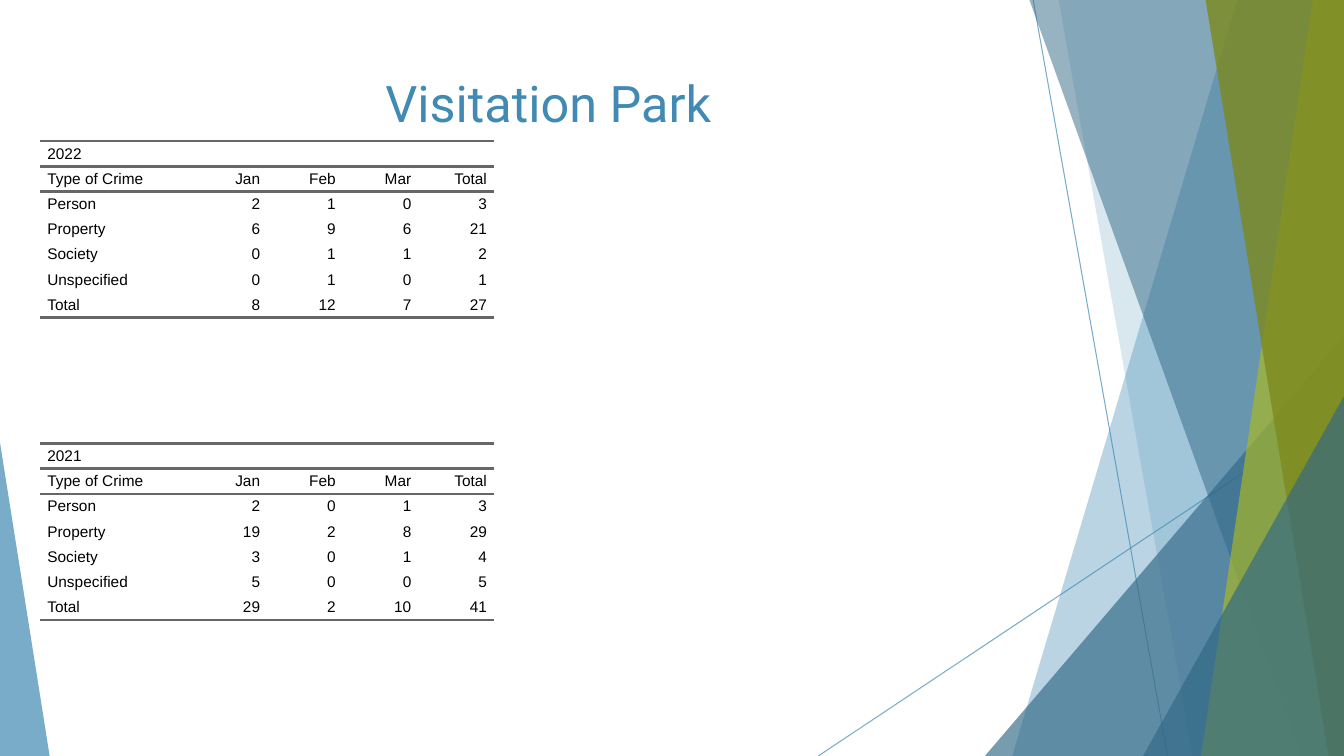
import pptx
import pptx.util
import pptx.dml.color
import pptx.enum.shapes
import pptx.enum.text
import pptx.oxml
import pptx.oxml.ns
from lxml import etree

Pt = pptx.util.Pt
ALIGN = pptx.enum.text.PP_ALIGN
ANCHOR = pptx.enum.text.MSO_ANCHOR
BLUE, NAVY, LIME, OLIVE = "418AB3", "316886", "A6B727", "7D891D"
WIDTH, HEIGHT = 960, 540
MONTHS = ["Type of Crime", "Jan", "Feb", "Mar", "Total"]
CRIMES_2022 = [
    ["Person", 2, 1, 0, 3],
    ["Property", 6, 9, 6, 21],
    ["Society", 0, 1, 1, 2],
    ["Unspecified", 0, 1, 0, 1],
    ["Total", 8, 12, 7, 27],
]
CRIMES_2021 = [
    ["Person", 2, 0, 1, 3],
    ["Property", 19, 2, 8, 29],
    ["Society", 3, 0, 1, 4],
    ["Unspecified", 5, 0, 0, 5],
    ["Total", 29, 2, 10, 41],
]
BACKDROP = [
    ("band", (884, 960, 960, 723), BLUE, 36),
    ("band", (756, 960, 960, 852), BLUE, 20),
    ("triangle", (703.5, 240, 256.5, 300, 1), NAVY, 66),
    ("band", (735, 960, 960, 929.5), NAVY, 50),
    ("band", (938, 960, 960, 858), LIME, 70),
    ("band", (861, 960, 960, 949), OLIVE, 80),
    ("triangle", (816.5, 283, 143.5, 257, 1), NAVY, 66),
    ("triangle", (0, 316, 35.5, 224, 0), BLUE, 70),
]


def colour(text):
    return pptx.dml.color.RGBColor.from_string(text)


def apply_format(target, values):
    for name, value in values.items():
        setattr(target, name, value)


def paint(fill_format, shade, opacity, element):
    fill_format.solid()
    fill_format.fore_color.rgb = colour(shade)
    for node in element.xpath(".//a:srgbClr"):
        alpha = etree.SubElement(node, pptx.oxml.ns.qn("a:alpha"))
        alpha.set("val", str(opacity * 1000))


def add_band(shapes, box, corners):
    left, top, height = box[0], box[1], box[3]
    upper_left, upper_right, lower_right, lower_left = corners
    builder = shapes.build_freeform(left + upper_left, top - 1, scale=Pt(1))
    builder.add_line_segments([
        (left + upper_right, top - 1),
        (left + lower_right, top + height),
        (left + lower_left, top + height),
    ], close=True)
    return builder.convert_to_shape()


def add_triangle(shapes, box, place):
    x, y, width, height, apex = place
    kind = pptx.enum.shapes.MSO_SHAPE.ISOSCELES_TRIANGLE
    shape = shapes.add_shape(kind, Pt(box[0] + x), Pt(box[1] + y), Pt(width), Pt(height))
    shape.adjustments[0] = apex
    return shape


def add_backdrop(page, box):
    shapes = page.shapes.add_group_shape().shapes
    for start_x, start_y, end_x, end_y in [(738, 0, 834, 540), (960, 290, 584.5, 540)]:
        line = shapes.add_connector(
            pptx.enum.shapes.MSO_CONNECTOR.STRAIGHT,
            Pt(box[0] + start_x), Pt(box[1] + start_y),
            Pt(box[0] + end_x), Pt(box[1] + end_y))
        line.line.width = Pt(0.75)
        properties = line._element.spPr
        paint(line.line.fill, BLUE, 70, properties)
        etree.SubElement(properties, pptx.oxml.ns.qn("a:effectLst"))
    makers = {"band": add_band, "triangle": add_triangle}
    for kind, outline, shade, opacity in BACKDROP:
        shape = makers[kind](shapes, box, outline)
        shape.shadow.inherit = False
        shape.line.fill.background()
        paint(shape.fill, shade, opacity, shape._element.spPr)


def add_title(page, box, words):
    title = page.shapes.title
    apply_format(title, dict(zip(("left", "top", "width", "height"), map(Pt, box))))
    frame = title.text_frame
    apply_format(frame, {"word_wrap": True, "vertical_anchor": ANCHOR.TOP,
                         "auto_size": pptx.enum.text.MSO_AUTO_SIZE.NONE})
    para = frame.paragraphs[0]
    para.alignment = ALIGN.CENTER
    span = para.add_run()
    span.text = words
    apply_format(span.font, {"name": "Roboto", "size": Pt(36)})
    span.font.color.rgb = colour(BLUE)


def add_border(cell, side):
    namespace = pptx.oxml.ns.nsdecls("a")
    cell._tc.get_or_add_tcPr().append(pptx.oxml.parse_xml(
        f'<a:{side} {namespace} w="{Pt(2)}"><a:solidFill><a:srgbClr val="666666"/>'
        f'</a:solidFill><a:prstDash val="solid"/></a:{side}>'))


def fill_cell(cell, words, alignment):
    para = cell.text_frame.paragraphs[0]
    apply_format(para, {"alignment": alignment, "space_before": Pt(5), "space_after": Pt(5)})
    for side in ("marL", "marR"):
        para._p.get_or_add_pPr().set(side, str(Pt(5)))
    span = para.add_run()
    span.text = str(words)
    apply_format(span.font, {"name": "Arial", "size": Pt(11)})
    span.font.color.rgb = colour("000000")


def add_crime_table(page, box, year, crimes):
    rows = [[year], MONTHS] + crimes
    left, top, width, height = box
    frame = page.shapes.add_table(len(rows), len(MONTHS), Pt(left), Pt(top), Pt(width), Pt(height))
    table = frame.table
    apply_format(table, {"first_row": False, "horz_banding": False})
    style = table._tbl.tblPr.find(pptx.oxml.ns.qn("a:tableStyleId"))
    style.text = "{2D5ABB26-0587-4C30-8999-92F81FD0307C}"
    for index, column in enumerate(table.columns):
        column.width = Pt(width / 6 * (2 if index == 0 else 1))
    for row in table.rows:
        row.height = Pt(height / len(rows))
    table.cell(0, 0).merge(table.cell(0, len(MONTHS) - 1))
    for row_index, values in enumerate(rows):
        for column_index in range(len(MONTHS)):
            cell = table.cell(row_index, column_index)
            apply_format(cell, {"margin_left": 0, "margin_right": 0, "margin_top": 0,
                                "margin_bottom": 0, "vertical_anchor": ANCHOR.MIDDLE})
            if row_index < 2:
                add_border(cell, "lnT")
            if row_index < 2 or row_index == len(rows) - 1:
                add_border(cell, "lnB")
            cell.fill.background()
            if column_index < len(values):
                alignment = ALIGN.RIGHT if column_index else ALIGN.LEFT
                fill_cell(cell, values[column_index], alignment)


deck = pptx.Presentation()
apply_format(deck, {"slide_width": Pt(WIDTH), "slide_height": Pt(HEIGHT)})
page = deck.slides.add_slide(deck.slide_layouts.get_by_name("Title Only"))
add_backdrop(page, (0, 0, WIDTH, HEIGHT))
add_crime_table(page, (28.8, 100.8, 324, 126), "2022", CRIMES_2022)
add_crime_table(page, (28.8, 316.8, 324, 126), "2021", CRIMES_2021)
add_title(page, (53.3, 48.2, 676.8, 103.7), "Visitation Park")
deck.save("out.pptx")
